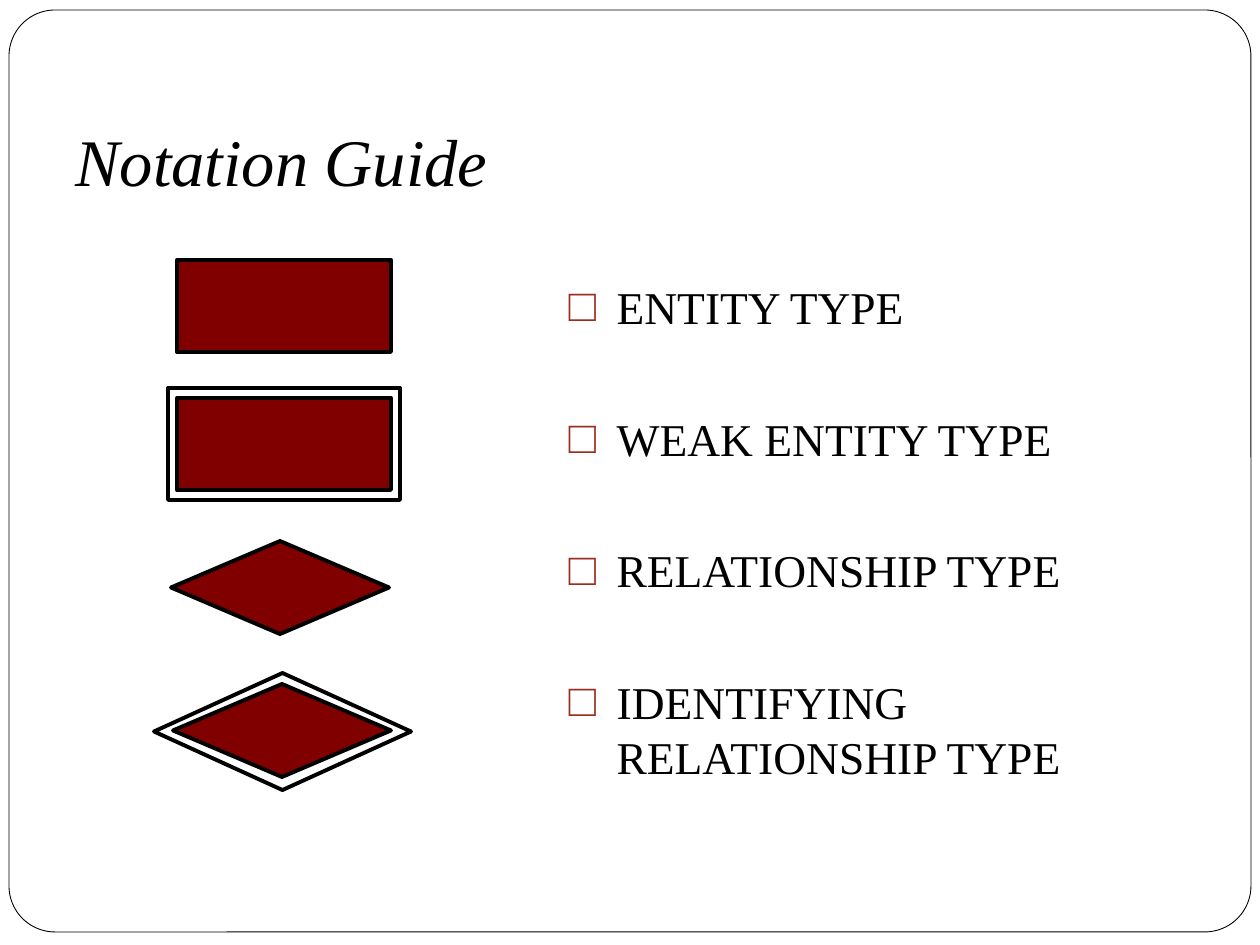
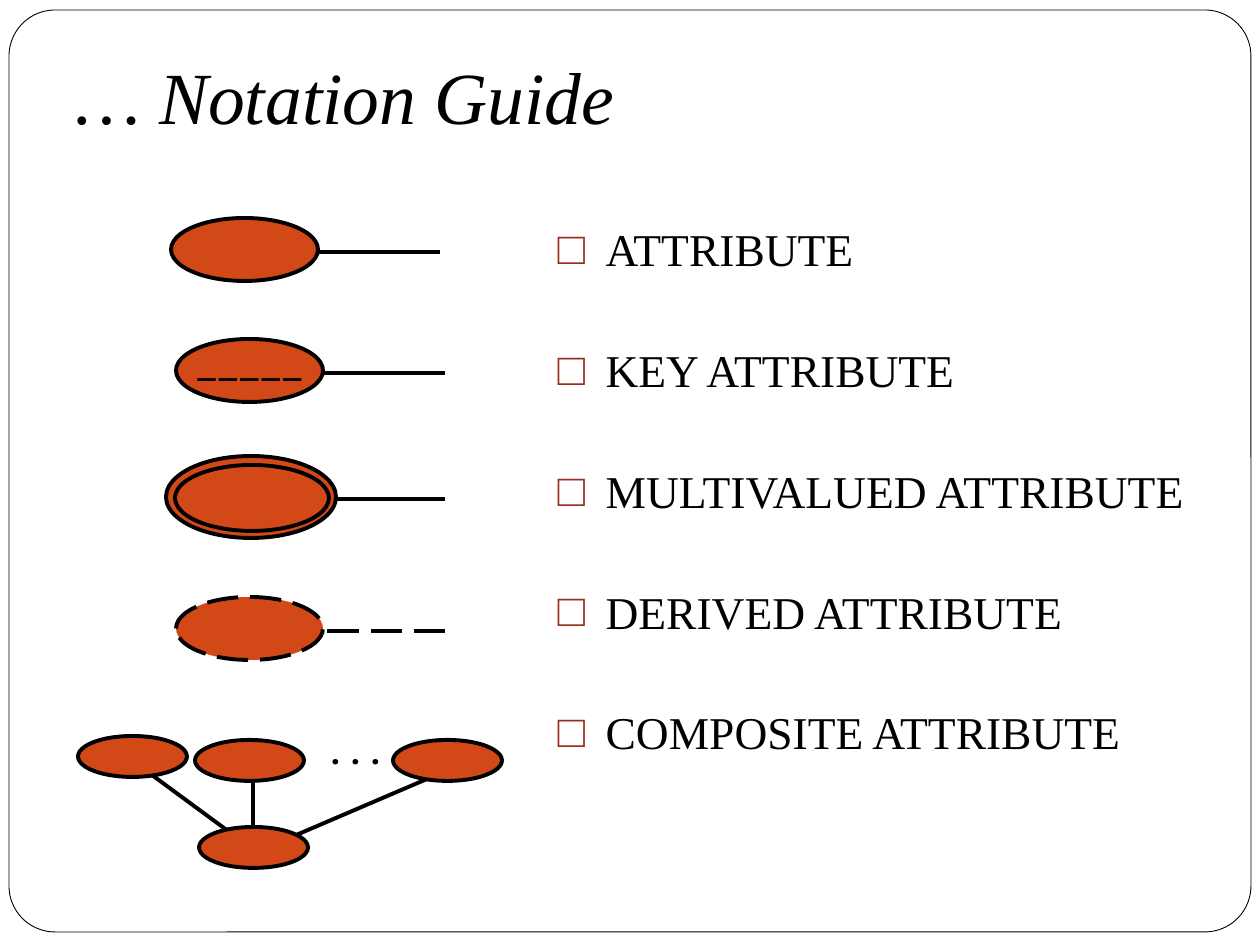
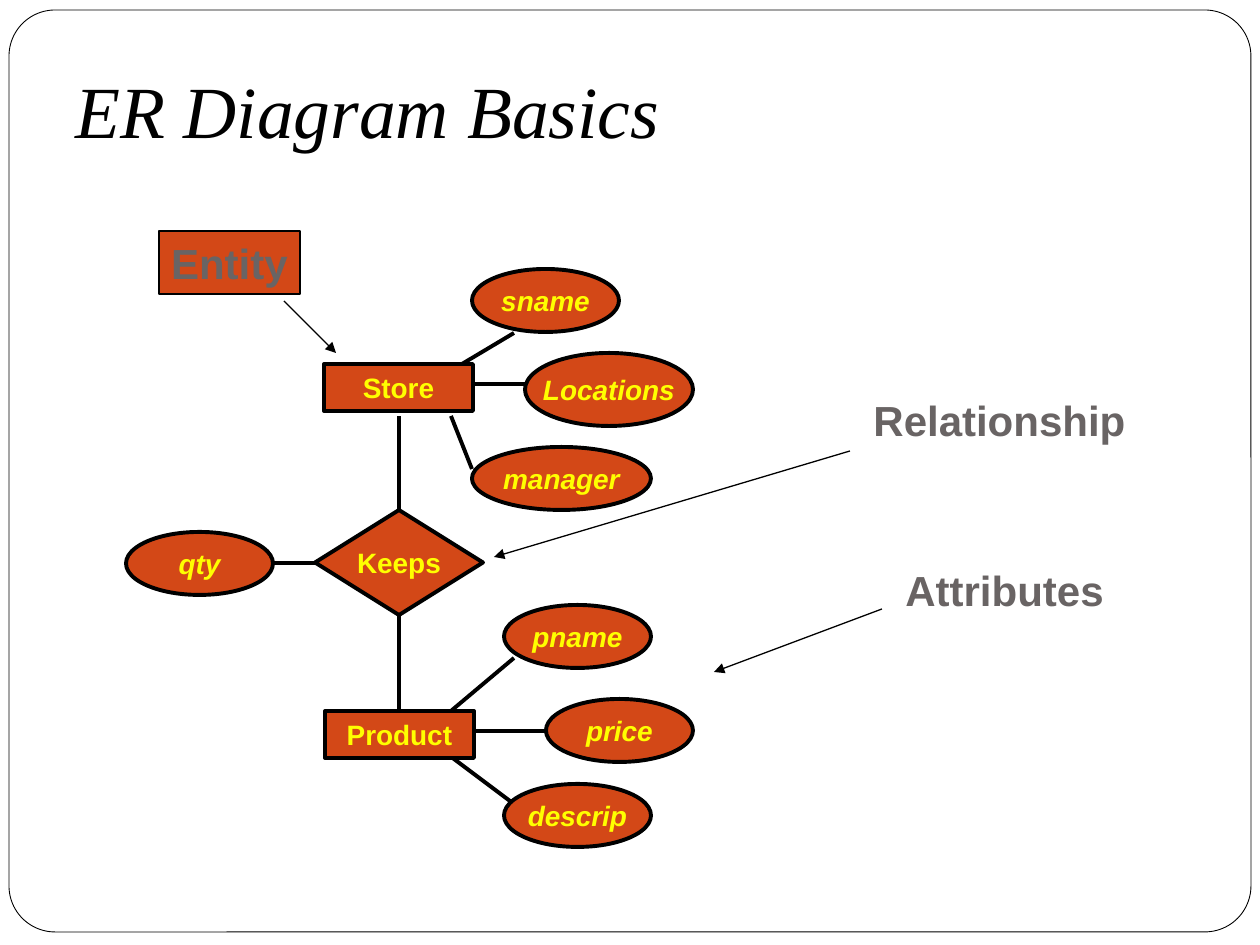
"""Build three slides that explain entity-relationship diagram notation."""
import lxml.etree
import pptx
import pptx.dml.color
import pptx.enum.dml
import pptx.enum.shapes
import pptx.enum.text
import pptx.oxml.ns
import pptx.util

PX = 914400 // 126
BLACK = pptx.dml.color.RGBColor(0x00, 0x00, 0x00)
WHITE = pptx.dml.color.RGBColor(0xFF, 0xFF, 0xFF)
MAROON = pptx.dml.color.RGBColor(0x80, 0x00, 0x00)
ORANGE = pptx.dml.color.RGBColor(0xD3, 0x48, 0x17)
YELLOW = pptx.dml.color.RGBColor(0xFF, 0xFF, 0x00)
GRAY = pptx.dml.color.RGBColor(0x69, 0x64, 0x64)
BULLET_RED = pptx.dml.color.RGBColor(0x9B, 0x2D, 0x1F)
SERIF, SANS, ROUNDED = "Times New Roman", "Arial", "Karla"
THIN, THICK = 0.75, 2.25
DASH = pptx.enum.dml.MSO_LINE.LONG_DASH
MSO = pptx.enum.shapes.MSO_SHAPE
RECT, OVAL, DIAMOND = MSO.RECTANGLE, MSO.OVAL, MSO.DIAMOND
ALIGN = pptx.enum.text.PP_ALIGN
MIDDLE = pptx.enum.text.MSO_ANCHOR.MIDDLE
NO_FIT = pptx.enum.text.MSO_AUTO_SIZE.NONE
qn = pptx.oxml.ns.qn


def add_node(s, kind, box, fill=None, weight=THICK, dash=None):
    sp = s.shapes.add_shape(kind, *(v * PX for v in box))
    sp.shadow.inherit = False
    if fill is None:
        sp.fill.background()
    else:
        sp.fill.solid()
        sp.fill.fore_color.rgb = fill
    sp.line.color.rgb = BLACK
    sp.line.width = pptx.util.Pt(weight)
    if dash:
        sp.line.dash_style = dash
    return sp


def add_line(s, ends, weight=THICK, dash=None, arrow=False):
    cxn = s.shapes.add_connector(pptx.enum.shapes.MSO_CONNECTOR.STRAIGHT, *(v * PX for v in ends))
    cxn.line.color.rgb = BLACK
    cxn.line.width = pptx.util.Pt(weight)
    if dash:
        cxn.line.dash_style = dash
    spPr = cxn.element.spPr
    if arrow:
        lxml.etree.SubElement(spPr.find(qn("a:ln")), qn("a:tailEnd"), type="triangle")
    lxml.etree.SubElement(spPr, qn("a:effectLst"))


prs = pptx.Presentation()
prs.slide_width = 1260 * PX
prs.slide_height = 945 * PX

slides = []
for layout, title, size, top, height in [
    (1, "Notation Guide", 38, 84, 151),
    (1, "… Notation Guide", 42, 11, 169),
    (5, "ER Diagram Basics", 42, 40, 139),
]:
    s = prs.slides.add_slide(prs.slide_layouts[layout])
    sp = s.shapes.title
    sp.left, sp.top, sp.width, sp.height = 63 * PX, top * PX, 1134 * PX, height * PX
    tf = sp.text_frame
    tf.vertical_anchor = MIDDLE
    tf.auto_size = NO_FIT
    p = tf.paragraphs[0]
    p.alignment = ALIGN.LEFT
    r = p.add_run()
    r.text = title
    r.font.name, r.font.size, r.font.italic = SERIF, pptx.util.Pt(size), True
    r.font.color.rgb = BLACK
    slides.append(s)
entities, attributes, diagram = slides

frame = add_node(entities, MSO.ROUNDED_RECTANGLE, (9, 10, 1242, 922), WHITE, 0.5)
frame.adjustments[0] = 0.05
prs.slide_master.shapes[0].element.addprevious(frame.element)

for s, box, spacing, gap, items in [
    (entities, (556, 273, 610, 567), 1.0, 44,
     ["ENTITY TYPE", "WEAK ENTITY TYPE", "RELATIONSHIP TYPE", "IDENTIFYING RELATIONSHIP TYPE"]),
    (attributes, (545, 221, 670, 595), 0.9, 41,
     ["ATTRIBUTE", "KEY ATTRIBUTE", "MULTIVALUED ATTRIBUTE", "DERIVED ATTRIBUTE",
      "COMPOSITE ATTRIBUTE"]),
]:
    sp = s.placeholders[1]
    sp.left, sp.top, sp.width, sp.height = (v * PX for v in box)
    tf = sp.text_frame
    tf.auto_size = NO_FIT
    for i, item in enumerate(items):
        p = tf.add_paragraph() if i else tf.paragraphs[0]
        pPr = p._p.get_or_add_pPr()
        pPr.set("marL", str(48 * PX))
        pPr.set("indent", str(-48 * PX))
        clr = lxml.etree.SubElement(pPr, qn("a:buClr"))
        lxml.etree.SubElement(clr, qn("a:srgbClr"), val=str(BULLET_RED))
        lxml.etree.SubElement(pPr, qn("a:buFont"), typeface=SERIF)
        lxml.etree.SubElement(pPr, qn("a:buChar"), char="□")
        p.line_spacing = spacing
        p.space_before = pptx.util.Pt(gap if i else 0)
        r = p.add_run()
        r.text = item
        r.font.name, r.font.size = SERIF, pptx.util.Pt(26)
        r.font.color.rgb = BLACK

for kind, box, fill in [
    (RECT, (177, 260, 214, 92), MAROON),
    (RECT, (177, 398, 214, 92), MAROON),
    (RECT, (168, 388, 232, 112), None),
    (DIAMOND, (171, 541, 218, 93), MAROON),
    (DIAMOND, (173, 684, 218, 93), MAROON),
    (DIAMOND, (154, 673, 257, 117), None),
]:
    add_node(entities, kind, box, fill)

for ends in [(141, 767, 243, 842), (253, 767, 253, 847), (455, 767, 273, 845)]:
    add_line(attributes, ends)
for x, y, dash in [(307, 252, None), (312, 373, None), (312, 499, None), (312, 631, DASH)]:
    add_line(attributes, (x + 133, y, x, y), dash=dash)

add_node(attributes, OVAL, (171, 218, 147, 63), ORANGE)
key = add_node(attributes, OVAL, (176, 339, 147, 63), ORANGE)
for box in [(166, 456, 170, 82), (175, 465, 154, 66)]:
    add_node(attributes, OVAL, box, ORANGE)
add_node(attributes, OVAL, (176, 597, 147, 63), ORANGE, dash=DASH)
for x, y in [(199, 827), (78, 736), (195, 740), (393, 740)]:
    add_node(attributes, OVAL, (x, y, 109, 41), ORANGE)

dots = attributes.shapes.add_textbox(304 * PX, 709 * PX, 89 * PX, 72 * PX)
for sp, text, size, bold, align in [
    (key, "_____", 16, True, ALIGN.CENTER),
    (dots, ". . .", 28, False, ALIGN.RIGHT),
]:
    tf = sp.text_frame
    tf.word_wrap = False
    p = tf.paragraphs[0]
    p.alignment = align
    r = p.add_run()
    r.text = text
    r.font.name, r.font.size, r.font.bold = ROUNDED, pptx.util.Pt(size), bold
    r.font.color.rgb = BLACK

for ends in [(850, 451, 494, 557), (882, 609, 714, 672), (284, 301, 336, 353)]:
    add_line(diagram, ends, THIN, arrow=True)
for ends in [
    (399, 510, 399, 416),
    (399, 616, 399, 711),
    (514, 333, 462, 364),
    (525, 384, 472, 384),
    (472, 469, 451, 416),
    (514, 658, 451, 711),
    (546, 731, 472, 731),
    (522, 810, 446, 753),
    (273, 563, 315, 563),
]:
    add_line(diagram, ends)

for kind, text, box in [
    (RECT, "Entity", (159, 231, 141, 63)),
    (RECT, "Store", (324, 364, 149, 47)),
    (RECT, "Product", (325, 711, 149, 47)),
    (DIAMOND, "Keeps", (315, 510, 168, 105)),
    (OVAL, "sname", (472, 269, 147, 63)),
    (OVAL, "Locations", (525, 353, 168, 73)),
    (OVAL, "manager", (472, 447, 179, 63)),
    (OVAL, "qty", (126, 532, 147, 63)),
    (OVAL, "pname", (504, 605, 147, 63)),
    (OVAL, "price", (546, 699, 147, 63)),
    (OVAL, "descrip", (504, 784, 147, 63)),
    (None, "Relationship", (859, 388, 281, 63)),
    (None, "Attributes", (887, 558, 235, 63)),
]:
    callout = kind is None or text == "Entity"
    if kind is None:
        sp = diagram.shapes.add_textbox(*(v * PX for v in box))
    else:
        sp = add_node(diagram, kind, box, ORANGE, THIN if callout else THICK)
    tf = sp.text_frame
    tf.word_wrap = False
    tf.vertical_anchor = MIDDLE
    p = tf.paragraphs[0]
    p.alignment = ALIGN.CENTER
    r = p.add_run()
    r.text = text
    r.font.name, r.font.bold, r.font.italic = SANS, True, kind == OVAL
    r.font.size = pptx.util.Pt(24 if callout else 16)
    r.font.color.rgb = GRAY if callout else YELLOW

prs.save("out.pptx")
